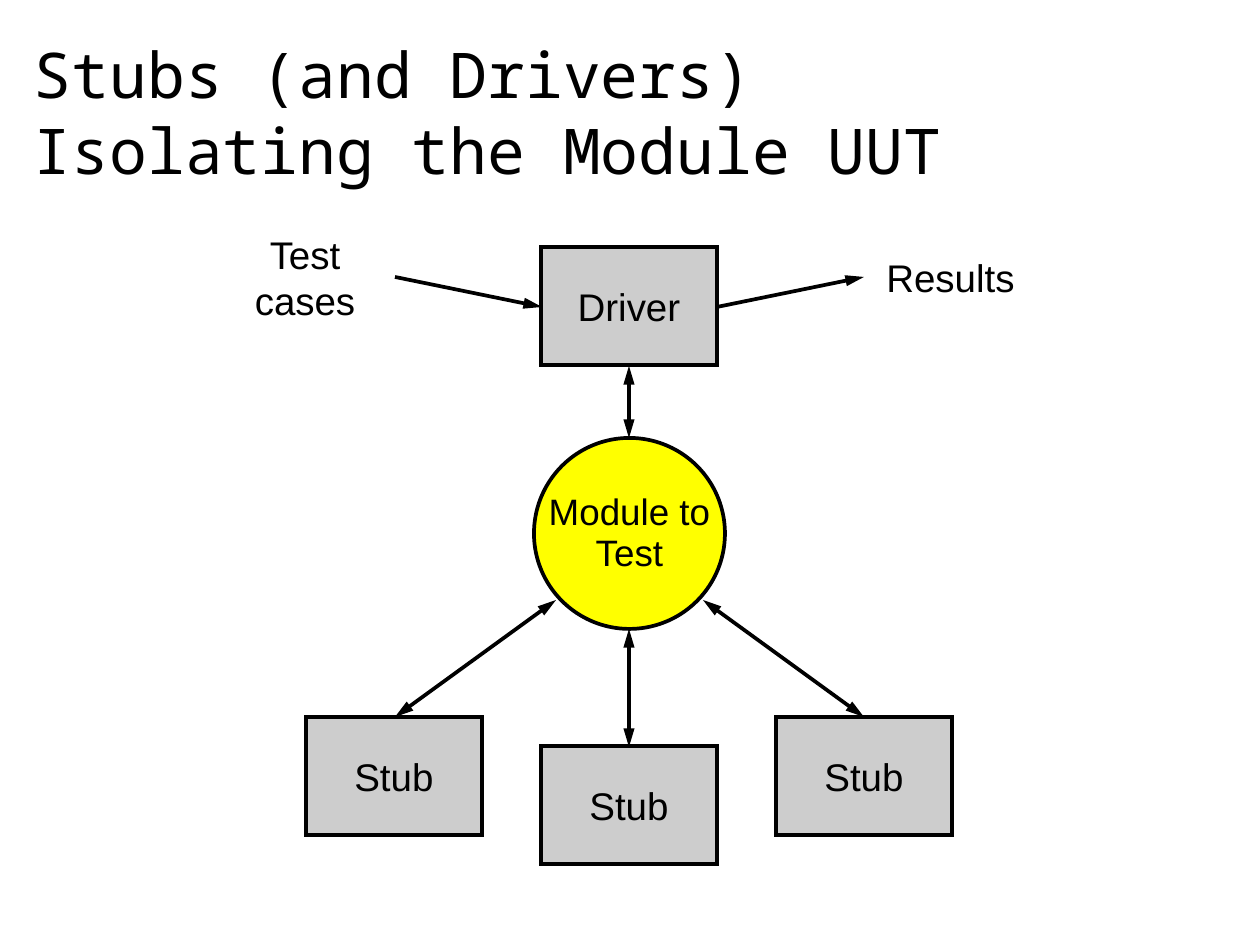
from lxml import etree
from pptx import Presentation
from pptx import util as u
from pptx.dml.color import RGBColor
from pptx.enum import shapes, text
from pptx.oxml.ns import qn

PX = 914400 // 126
W, H = 1260, 945
LINE_PT = 2.13
BLACK, GREY, YELLOW = "000000", "CDCDCD", "FFFF00"
RECT, OVAL = shapes.MSO_SHAPE.RECTANGLE, shapes.MSO_SHAPE.OVAL

TITLE = ["Stubs (and Drivers) \vIsolating the Module UUT"]
BOX_SIZE = (176, 118)
BOXES = [("Driver", 541, 247), ("Stub", 541, 746), ("Stub", 306, 717), ("Stub", 776, 717)]
MODULE = (["Module to", "Test"], (534, 438, 191, 191))
LABELS = [(["Test", "cases"], (245, 231, 120, 100)), (["Results"], (877, 254, 147, 53))]
ARROWS = [  # start, end, arrowhead at both ends
    ((629, 366), (629, 438), True),
    ((703, 600), (864, 717), True),
    ((629, 629), (629, 747), True),
    ((556, 600), (395, 717), True),
    ((395, 277), (542, 307), False),
    ((717, 307), (864, 277), False),
]


def emu(values):
    return [u.Emu(v * PX) for v in values]


def color(value):
    return RGBColor.from_string(value)


def write(sp, lines, size=22, font="Arial", align=text.PP_ALIGN.CENTER,
          anchor=text.MSO_ANCHOR.MIDDLE, inset=0, wrap=False, spacing=1.0):
    tf = sp.text_frame
    tf.word_wrap, tf.vertical_anchor = wrap, anchor
    tf.margin_left = tf.margin_right = u.Emu(inset * PX)
    tf.margin_top = tf.margin_bottom = u.Emu(inset * PX // 2)
    for i, line in enumerate(lines):
        p = tf.add_paragraph() if i else tf.paragraphs[0]
        p.text, p.alignment, p.line_spacing = line, align, spacing
        for r in p.runs:
            r.font.size, r.font.name = u.Pt(size), font
            r.font.color.rgb = color(BLACK)


def add_node(s, kind, box, fill, lines, **fmt):
    sp = s.shapes.add_shape(kind, *emu(box))
    sp.shadow.inherit = False
    sp.fill.solid()
    sp.fill.fore_color.rgb = color(fill)
    sp.line.color.rgb, sp.line.width = color(BLACK), u.Pt(LINE_PT)
    etree.SubElement(sp.line._get_or_add_ln(), qn("a:miter"), lim="800000")
    write(sp, lines, **fmt)


def add_label(s, box, lines, **fmt):
    write(s.shapes.add_textbox(*emu(box)), lines, **fmt)


def add_arrow(s, start, end, both):
    cx = s.shapes.add_connector(shapes.MSO_CONNECTOR.STRAIGHT, *emu(start + end))
    cx.line.color.rgb, cx.line.width = color(BLACK), u.Pt(LINE_PT)
    ln = cx.line._get_or_add_ln()
    for tag in ("a:headEnd", "a:tailEnd") if both else ("a:tailEnd",):
        etree.SubElement(ln, qn(tag), type="triangle", w="med", len="lg")
    etree.SubElement(cx._element.spPr, qn("a:effectLst"))


def main():
    """Build the slide on stubs and drivers around a module under test."""
    prs = Presentation()
    prs.slide_width, prs.slide_height = emu((W, H))
    s = prs.slides.add_slide(prs.slide_layouts[6])
    add_label(s, (21, 32, 1218, 158), TITLE, size=36, font="Noto Sans Mono",
              align=text.PP_ALIGN.LEFT, inset=13, wrap=True)
    for name, x, y in BOXES:
        add_node(s, RECT, (x, y, *BOX_SIZE), GREY, [name])
    lines, box = MODULE
    add_node(s, OVAL, box, YELLOW, lines, size=21, spacing=0.95)
    for lines, box in LABELS:
        add_label(s, box, lines, anchor=text.MSO_ANCHOR.TOP, wrap=True)
    for arrow in ARROWS:
        add_arrow(s, *arrow)
    prs.save("out.pptx")


if __name__ == "__main__":
    main()
